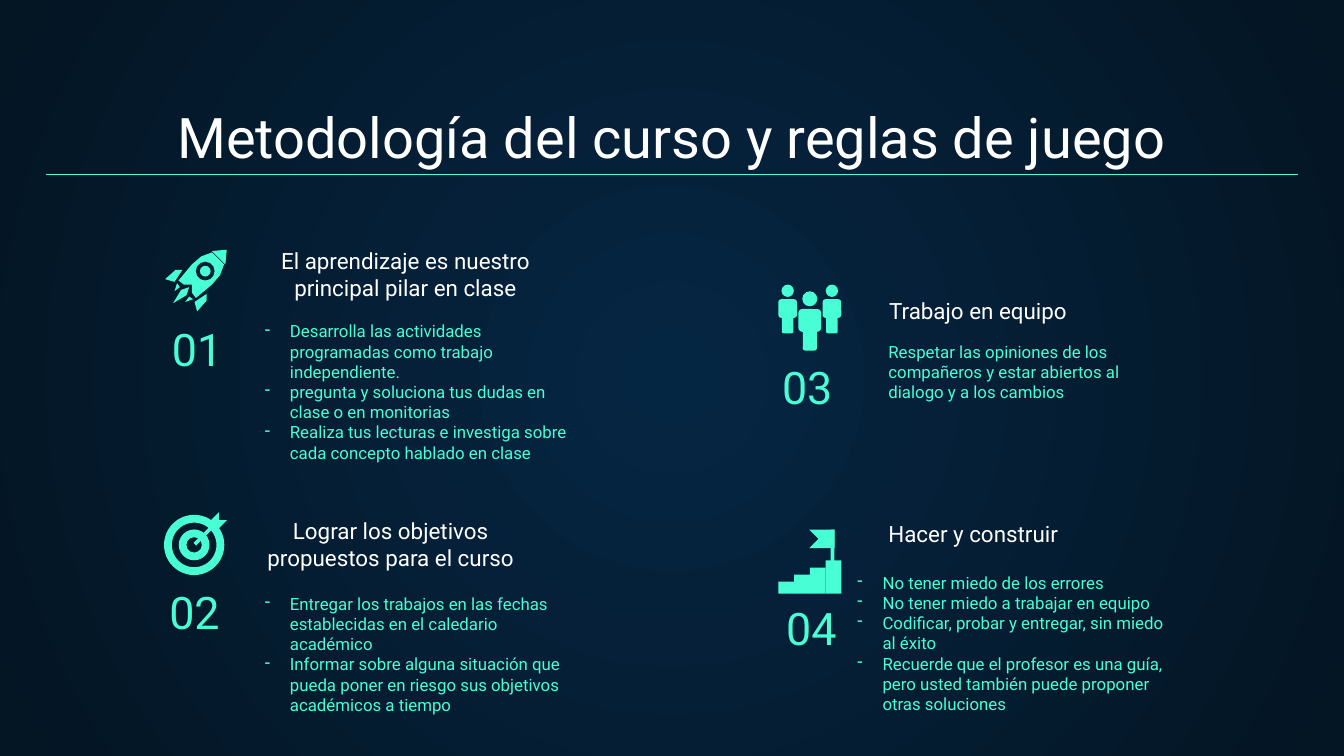
from lxml.etree import SubElement
from pptx import Presentation
from pptx.dml.color import RGBColor
from pptx.enum.shapes import MSO_CONNECTOR, MSO_SHAPE
from pptx.enum.text import MSO_ANCHOR as ANCHOR, MSO_AUTO_SIZE, PP_ALIGN as ALIGN
from pptx.oxml.ns import qn
from pptx.util import Cm, Pt

MINT, WHITE = "48FFD5", "FFFFFF"
GLOW, NIGHT, PORTHOLE = "052643", "041523", "051E35"
TITLE = "Metodología del curso y reglas de juego"
TITLE_BOX = (0.86, 1.78, 23.67, 1.68)
RULE_LEFT, RULE_RIGHT, RULE_TOP = 0.86, 24.54, 3.3
INSET, INDENT = 0.25, 0.48
HEADING_SIZE, NUMBER_SIZE = (5.77, 0.53), (3.28, 1.68)
BODY_HEIGHT = 1.4
ICON_WIDTH, ICON_GRID = 1.19, 47

HEADING_STYLE = {"size": 12, "color": WHITE, "align": ALIGN.CENTER, "anchor": ANCHOR.BOTTOM}
TITLE_STYLE = {**HEADING_STYLE, "size": 30}
NUMBER_STYLE = {"size": 24, "color": MINT, "align": ALIGN.LEFT, "anchor": ANCHOR.BOTTOM}
BODY_STYLE = {"size": 9, "color": MINT, "align": ALIGN.LEFT, "anchor": ANCHOR.TOP}

CARDS = [
    {"number": "01", "number_at": (3, 5.66),
     "heading": "El aprendizaje es nuestro principal pilar en clase", "heading_at": (4.78, 5.41),
     "body": ["Desarrolla las actividades programadas como trabajo independiente.",
              "pregunta y soluciona tus dudas en clase o en monitorias",
              "Realiza tus lecturas e investiga sobre cada concepto hablado en clase"],
     "body_at": (4.75, 5.82), "icon": "rocket", "icon_at": (3.12, 4.72)},
    {"number": "02", "number_at": (2.95, 10.64),
     "heading": "Lograr los objetivos propuestos para el curso", "heading_at": (4.5, 10.52),
     "body": ["Entregar los trabajos en las fechas establecidas en el caledario académico",
              "Informar sobre alguna situación que pueda poner en riesgo sus objetivos "
              "académicos a tiempo"],
     "body_at": (4.75, 10.97), "icon": "target", "icon_at": (3.1, 9.68)},
    {"number": "03", "number_at": (14.53, 6.38),
     "heading": "Trabajo en equipo", "heading_at": (15.6, 5.84),
     "body": ["Respetar las opiniones de los compañeros y estar abiertos al dialogo y a los cambios"],
     "body_at": (16.54, 6.2), "body_width": 5.26, "bullets": False,
     "icon": "team", "icon_at": (14.71, 5.38)},
    {"number": "04", "number_at": (12.78, 10.95), "number_align": ALIGN.RIGHT,
     "heading": "Hacer y construir", "heading_at": (16.54, 10.06), "heading_align": ALIGN.LEFT,
     "body": ["No tener miedo de los errores", "No tener miedo a trabajar en equipo",
              "Codificar, probar y entregar, sin miedo al éxito",
              "Recuerde que el profesor es una guía, pero usted también puede proponer "
              "otras soluciones"],
     "body_at": (15.95, 10.57), "icon": "stairs", "icon_at": (14.71, 10.01)},
]


def rgb(color):
    """Turn a hex string into a colour."""
    return RGBColor.from_string(color)


def add_bullet(paragraph):
    """Give a paragraph a mint dash and a hanging indent."""
    properties = paragraph._p.get_or_add_pPr()
    properties.set("marL", str(Cm(INDENT)))
    properties.set("indent", str(-Cm(INDENT)))
    color = SubElement(properties, qn("a:buClr"))
    SubElement(color, qn("a:srgbClr"), val=MINT)
    SubElement(properties, qn("a:buChar"), char="-")


def write(shape, lines, style, bullets=False):
    """Fill a shape with formatted paragraphs."""
    frame = shape.text_frame
    settings = {"word_wrap": True, "auto_size": MSO_AUTO_SIZE.NONE,
                "vertical_anchor": style["anchor"]}
    settings.update({f"margin_{side}": Cm(INSET) for side in ("left", "top", "right", "bottom")})
    for name, value in settings.items():
        setattr(frame, name, value)
    for index, line in enumerate(lines):
        paragraph = frame.add_paragraph() if index else frame.paragraphs[0]
        paragraph.alignment = style["align"]
        if bullets:
            add_bullet(paragraph)
        run = paragraph.add_run()
        run.text = line
        for name, value in {"name": "Roboto", "size": Pt(style["size"])}.items():
            setattr(run.font, name, value)
        run.font.color.rgb = rgb(style["color"])


def add_text(slide, position, size, lines, style, bullets=False):
    """Add a text box at a position given in centimetres."""
    box = slide.shapes.add_textbox(*map(Cm, position + size))
    write(box, lines, style, bullets)


class Icon:
    """A group of plain shapes placed on the icon grid."""

    def __init__(self, slide, position):
        """Start an empty group at a position in centimetres."""
        self.shapes = slide.shapes.add_group_shape().shapes
        self.left, self.top = map(Cm, position)
        self.unit = Cm(ICON_WIDTH) / ICON_GRID

    def finish(self, shape, color):
        """Give a shape a flat fill without line or shadow."""
        shape.shadow.inherit = False
        shape.fill.solid()
        shape.fill.fore_color.rgb = rgb(color)
        shape.line.fill.background()

    def preset(self, kind, x, y, width, height, adjust=None, color=MINT):
        """Add a preset shape."""
        left, top, wide, high = (round(value * self.unit) for value in (x, y, width, height))
        shape = self.shapes.add_shape(kind, self.left + left, self.top + top, wide, high)
        if adjust is not None:
            shape.adjustments[0] = adjust
        self.finish(shape, color)

    def polygon(self, points):
        """Add a closed outline."""
        builder = self.shapes.build_freeform(*points[0], scale=self.unit)
        builder.add_line_segments(points[1:], close=True)
        self.finish(builder.convert_to_shape(self.left, self.top), MINT)


def mirror(points):
    """Reflect points across the axis of the rocket."""
    return [(46 - y, 46 - x) for x, y in points]


def draw_rocket(icon):
    """Draw a rocket from halves mirrored on its axis."""
    nose, flame = [(35, 1), (46, 0)], [(18, 28), (12, 30), (6, 40)]
    hull = [(35, 2), (27, 5), (20, 11), (10, 23), (14, 26), (20, 26)]
    for half in (nose, hull, flame):
        icon.polygon(half + mirror(half)[::-1])
    for side in ([(0, 22), (8, 15), (13, 15), (7, 24)], [(9, 25), (7, 31), (11, 28)]):
        icon.polygon(side)
        icon.polygon(mirror(side))
    for radius, color in ((7, PORTHOLE), (4, MINT)):
        icon.preset(MSO_SHAPE.OVAL, 30 - radius, 16 - radius, 2 * radius, 2 * radius, color=color)


def draw_target(icon):
    """Draw two rings with an arrow in the centre."""
    for radius, thickness in ((22.5, 0.13), (11.5, 0.25)):
        icon.preset(MSO_SHAPE.DONUT, 22.5 - radius, 24.5 - radius, 2 * radius, 2 * radius, thickness)
    half = [(22, 23), (35, 10), (35, 6), (41, 0), (41, 6)]
    icon.polygon(half + [(47 - y, 47 - x) for x, y in half[::-1]])


def draw_team(icon):
    """Draw three people, the middle one in front."""
    for left, top, width in ((0, 0, 14), (33, 0, 14), (15, 5, 17)):
        head, legs = 0.66 * width, 0.62 * width
        icon.preset(MSO_SHAPE.OVAL, left + (width - head) / 2, top, head, head)
        icon.preset(MSO_SHAPE.ROUNDED_RECTANGLE, left, top + 0.78 * width, width, width)
        icon.preset(MSO_SHAPE.ROUNDED_RECTANGLE, left + (width - legs) / 2, top + width,
                    legs, 1.6 * width)


def draw_stairs(icon):
    """Draw four steps with a flag on the last one."""
    count = 4
    step = ICON_GRID / count
    for index in range(count):
        height = 9 + 5.3 * index
        icon.preset(MSO_SHAPE.RECTANGLE, index * step, 48 - height, step, height)
    icon.preset(MSO_SHAPE.RECTANGLE, 39, 0, 3, 24)
    icon.polygon([(23, 0), (42, 0), (42, 14), (23, 14), (30, 7)])


def paint_background(slide):
    """Fill the background with a glow from the centre."""
    fill = slide.background.fill
    fill.gradient()
    for stop, color in zip(fill.gradient_stops, (GLOW, NIGHT)):
        stop.color.rgb = rgb(color)
    gradient = slide.background._cSld.find(".//" + qn("a:gradFill"))
    linear = gradient.find(qn("a:lin"))
    circle = SubElement(gradient, qn("a:path"), path="circle")
    SubElement(circle, qn("a:fillToRect"), {side: "50000" for side in "ltrb"})
    gradient.replace(linear, circle)


def add_rule(slide):
    """Draw the line under the title."""
    rule = slide.shapes.add_connector(MSO_CONNECTOR.STRAIGHT, Cm(RULE_LEFT), Cm(RULE_TOP),
                                      Cm(RULE_RIGHT), Cm(RULE_TOP))
    rule.line.color.rgb = rgb(MINT)
    rule.line.width = Pt(0.75)
    SubElement(rule._element.spPr, qn("a:effectLst"))


DRAWINGS = {"rocket": draw_rocket, "target": draw_target, "team": draw_team, "stairs": draw_stairs}

presentation = Presentation()
presentation.slide_width, presentation.slide_height = Cm(25.4), Cm(14.29)
slide = presentation.slides.add_slide(presentation.slide_layouts[5])
paint_background(slide)
title = slide.shapes.title
for name, value in zip(("left", "top", "width", "height"), TITLE_BOX):
    setattr(title, name, Cm(value))
write(title, [TITLE], TITLE_STYLE)
add_rule(slide)
for card in CARDS:
    DRAWINGS[card["icon"]](Icon(slide, card["icon_at"]))
    for part, size, style in (("number", NUMBER_SIZE, NUMBER_STYLE),
                              ("heading", HEADING_SIZE, HEADING_STYLE)):
        aligned = {**style, "align": card.get(part + "_align", style["align"])}
        add_text(slide, card[part + "_at"], size, [card[part]], aligned)
    add_text(slide, card["body_at"], (card.get("body_width", 6.35), BODY_HEIGHT),
             card["body"], BODY_STYLE, card.get("bullets", True))
presentation.save("out.pptx")
